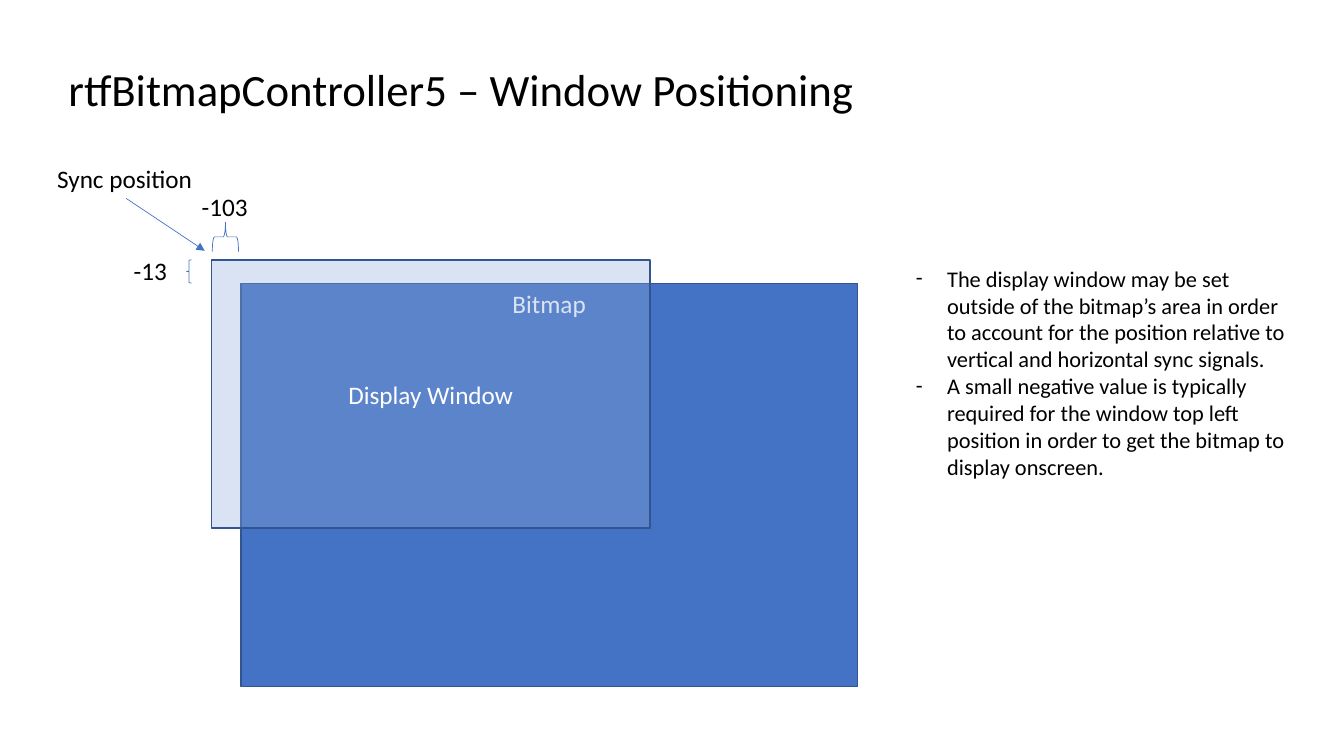
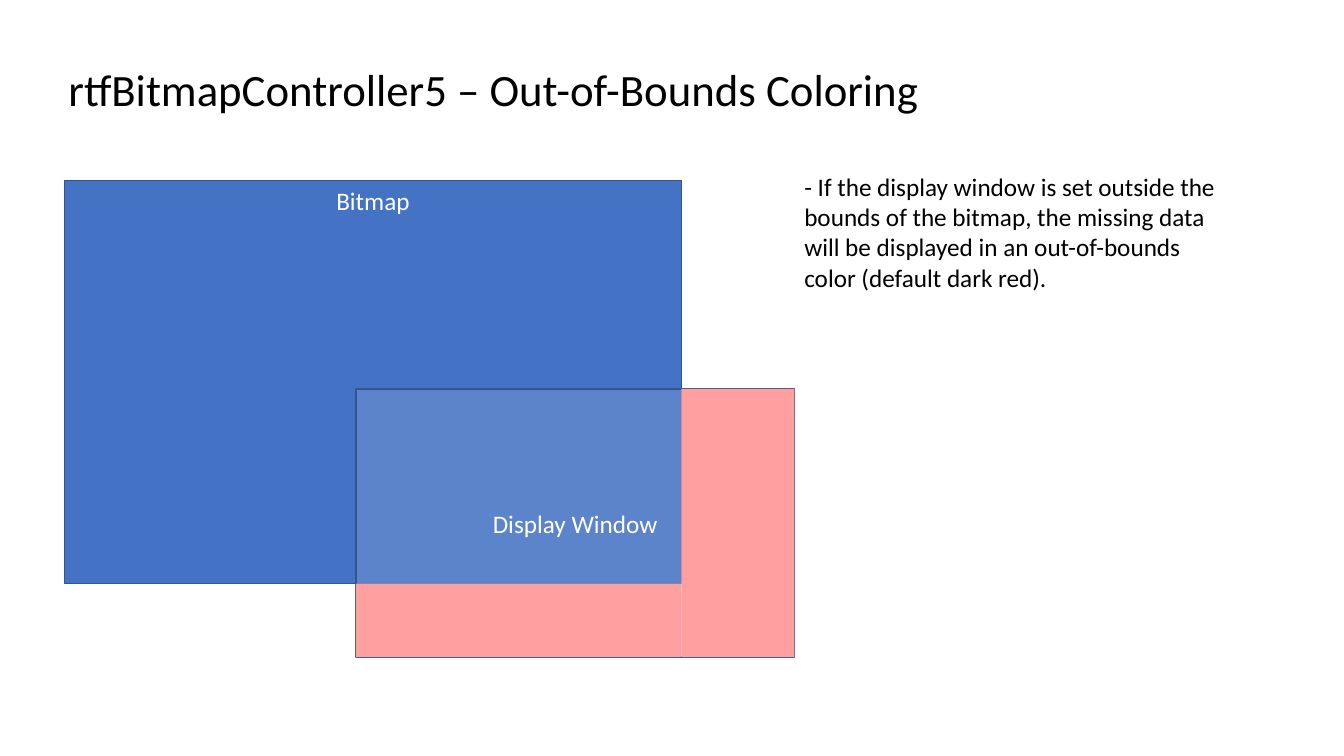
from lxml.etree import SubElement
from pptx import Presentation
from pptx.dml.color import RGBColor
from pptx.enum.shapes import MSO_CONNECTOR, MSO_SHAPE
from pptx.enum.text import MSO_ANCHOR, MSO_AUTO_SIZE, PP_ALIGN
from pptx.oxml.ns import qn
from pptx.util import Cm, Pt

COLORS = {
    "bitmap": "4472C4",
    "window": "8FAADC",
    "edge": "325491",
    "out_of_bounds": "FF9F9F",
    "text": "000000",
    "label": "FFFFFF",
}
FONT = "Calibri"
BITMAP_W, BITMAP_H = 15.54, 10.16
WINDOW_W, WINDOW_H = 11.05, 6.76


def write(shape, lines, size=18, color="text", align=PP_ALIGN.LEFT,
          anchor=MSO_ANCHOR.TOP, wrap=True):
    frame = shape.text_frame
    frame.text = "\n".join(lines)
    frame.word_wrap = wrap
    frame.auto_size = MSO_AUTO_SIZE.NONE
    frame.vertical_anchor = anchor
    for paragraph in frame.paragraphs:
        paragraph.alignment = align
        for run in paragraph.runs:
            run.font.name = FONT
            run.font.size = Pt(size)
            run.font.color.rgb = RGBColor.from_string(COLORS[color])


def add_block(slide, kind, place, fill=None, line=None, width=1):
    block = slide.shapes.add_shape(kind, *map(Cm, place))
    block.shadow.inherit = False
    if fill:
        block.fill.solid()
        block.fill.fore_color.rgb = RGBColor.from_string(COLORS[fill])
    else:
        block.fill.background()
    if line:
        block.line.color.rgb = RGBColor.from_string(COLORS[line])
        block.line.width = Pt(width)
    else:
        block.line.fill.background()
    return block


prs = Presentation()
prs.slide_width, prs.slide_height = Cm(33.87), Cm(19.05)

pages = [
    ("Window Positioning", (6.07, 7.14), (5.33, 6.55)),
    ("Out-of-Bounds Coloring", (1.63, 4.55), (8.97, 9.8)),
]
slides = []
for topic, bitmap_corner, window_corner in pages:
    slide = prs.slides.add_slide(prs.slide_layouts[5])
    slides.append(slide)
    title = slide.shapes.title
    title.left, title.top, title.width, title.height = map(Cm, (1.47, 1.42, 22.28, 1.63))
    write(title, [f"rtfBitmapController5 – {topic}"], size=32, wrap=False)

    bitmap = add_block(slide, MSO_SHAPE.RECTANGLE, (*bitmap_corner, BITMAP_W, BITMAP_H),
                       "bitmap", "edge")
    write(bitmap, ["Bitmap"], color="label", align=PP_ALIGN.CENTER)

    window = add_block(slide, MSO_SHAPE.RECTANGLE, (*window_corner, WINDOW_W, WINDOW_H),
                       "window", "edge")
    window_color = window.fill._xPr.find(qn("a:solidFill"))[0]
    SubElement(window_color, qn("a:alpha"), val="32000")
    write(window, ["Display Window"], color="label", align=PP_ALIGN.CENTER,
          anchor=MSO_ANCHOR.MIDDLE)

positioning, coloring = slides

add_block(positioning, MSO_SHAPE.LEFT_BRACE, (4.7, 6.55, 0.13, 0.58), line="bitmap", width=0.5)
offset_brace = add_block(positioning, MSO_SHAPE.LEFT_BRACE, (5.31, 5.64, 0.74, 0.66),
                         line="bitmap", width=0.5)
offset_brace.rotation = 90

for label, place in [
    ("-13", (3.12, 6.32, 1.57, 1.03)),
    ("-103", (4.83, 4.7, 1.68, 1.03)),
    ("Sync position", (1.19, 3.99, 3.96, 1.03)),
]:
    write(positioning.shapes.add_textbox(*map(Cm, place)), [label], wrap=False)

sync_arrow = positioning.shapes.add_connector(
    MSO_CONNECTOR.STRAIGHT, Cm(3.18), Cm(5), Cm(5.16), Cm(6.32))
sync_arrow.line.color.rgb = RGBColor.from_string(COLORS["bitmap"])
sync_arrow.line.width = Pt(0.5)
SubElement(sync_arrow.line._get_or_add_ln(), qn("a:tailEnd"), type="triangle")
SubElement(sync_arrow._element.spPr, qn("a:effectLst"))

position_notes = positioning.shapes.add_textbox(Cm(22.83), Cm(6.55), Cm(9.8), Cm(7.09))
write(position_notes, [
    "The display window may be set outside of the bitmap’s area in order to account "
    "for the position relative to vertical and horizontal sync signals.",
    "A small negative value is typically required for the window top left position "
    "in order to get the bitmap to display onscreen.",
], size=16)
for paragraph in position_notes.text_frame.paragraphs:
    properties = paragraph._p.get_or_add_pPr()
    properties.set("marL", str(Cm(0.79)))
    properties.set("indent", str(-Cm(0.79)))
    SubElement(properties, qn("a:buFont"), typeface=FONT)
    SubElement(properties, qn("a:buChar"), char="-")

bitmap_right, bitmap_bottom = bitmap_corner[0] + BITMAP_W, bitmap_corner[1] + BITMAP_H
window_left, window_top = window_corner
window_right, window_bottom = window_left + WINDOW_W, window_top + WINDOW_H
for place in [
    (bitmap_right, window_top, window_right - bitmap_right, WINDOW_H),
    (window_left, bitmap_bottom, bitmap_right - window_left, window_bottom - bitmap_bottom),
]:
    add_block(coloring, MSO_SHAPE.RECTANGLE, place, "out_of_bounds")

coloring_note = coloring.shapes.add_textbox(Cm(20.02), Cm(4.19), Cm(11.18), Cm(3.33))
write(coloring_note, [
    "- If the display window is set outside the bounds of the bitmap, the missing data "
    "will be displayed in an out-of-bounds color (default dark red).",
])

prs.save("out.pptx")
